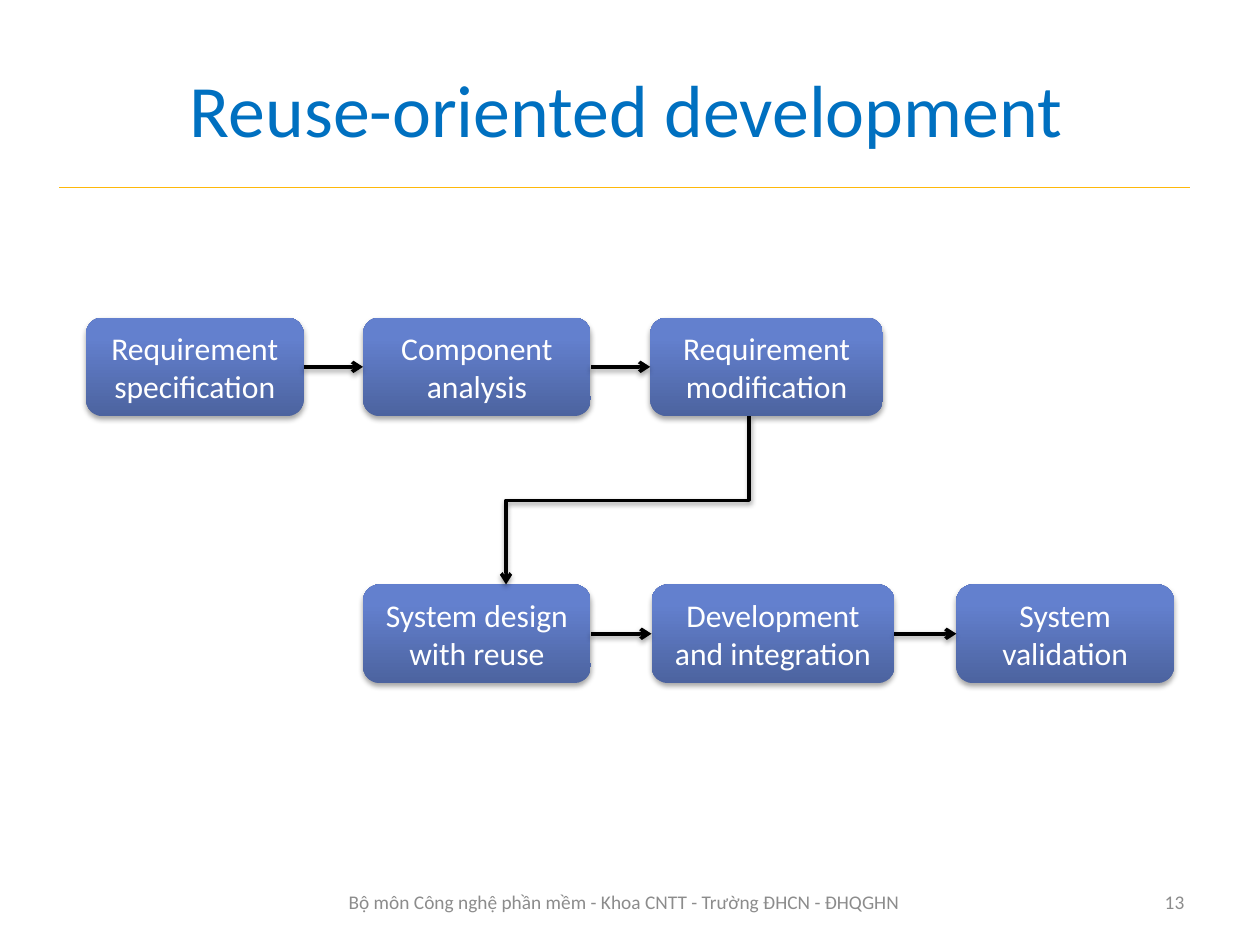
import copy
from dataclasses import dataclass

import lxml.etree
import pptx
import pptx.dml.color
import pptx.enum.shapes
import pptx.enum.text
import pptx.oxml.ns
import pptx.util

Inches = pptx.util.Inches
Align = pptx.enum.text.PP_ALIGN
Link = pptx.enum.shapes.MSO_CONNECTOR
qn = pptx.oxml.ns.qn


def color(code):
    return pptx.dml.color.RGBColor.from_string(code)


def assign(target, values):
    for name, value in values.items():
        setattr(target, name, value)


def add(parent, tag, **values):
    return lxml.etree.SubElement(parent, qn(tag), values)


@dataclass(frozen=True)
class Theme:
    font: str = "Calibri"
    title: str = "0070C0"
    rule: str = "FEB80A"
    label: str = "FFFFFF"
    arrow: str = "000000"
    foot: str = "8C8C8C"
    shade: tuple = ((0, "4C639F"), (0.8, "6380CE"), (1, "6180D1"))
    head_size: float = 42
    box_size: float = 18
    foot_size: float = 11
    thin: float = 0.75
    thick: float = 2


class Board:
    def __init__(self, slide, theme):
        self.shapes = slide.shapes
        self.theme = theme

    def label(self, shape, text, size, tint, align):
        frame = shape.text_frame
        assign(frame, {
            "word_wrap": True,
            "vertical_anchor": pptx.enum.text.MSO_ANCHOR.MIDDLE,
            "margin_left": Inches(0.1),
            "margin_right": Inches(0.1),
            "margin_top": Inches(0.05),
            "margin_bottom": Inches(0.05),
        })
        line = frame.paragraphs[0]
        line.alignment = align
        run = line.add_run()
        run.text = text
        assign(run.font, {"name": self.theme.font, "size": pptx.util.Pt(size)})
        run.font.color.rgb = color(tint)

    def text(self, place, text, size, tint, align=Align.CENTER):
        shape = self.shapes.add_textbox(*map(Inches, place))
        self.label(shape, text, size, tint, align)

    def shadow(self, effect, alpha, drop):
        outer = add(effect, "a:outerShdw", blurRad=str(pptx.util.Pt(3.1)),
                    dist=str(pptx.util.Pt(drop)), dir="5400000", rotWithShape="0")
        shade = add(outer, "a:srgbClr", val="000000")
        add(shade, "a:alpha", val=str(alpha * 1000))

    def box(self, place, text):
        kind = pptx.enum.shapes.MSO_SHAPE.ROUNDED_RECTANGLE
        shape = self.shapes.add_shape(kind, *map(Inches, place))
        props = shape._element.spPr
        shape.fill.gradient()
        shape.fill.gradient_angle = 90
        stops = props.find(".//" + qn("a:gsLst"))
        stops.append(copy.deepcopy(stops[0]))
        for stop, (point, tint) in zip(shape.fill.gradient_stops, self.theme.shade):
            stop.position = point
            stop.color.rgb = color(tint)
        shape.line.fill.background()
        shape.shadow.inherit = False
        self.shadow(props.find(qn("a:effectLst")), 35, 1.8)
        self.label(shape, text, self.theme.box_size, self.theme.label, Align.CENTER)
        return shape

    def line(self, ends, tint, width, kind=Link.STRAIGHT):
        link = self.shapes.add_connector(kind, *map(Inches, ends))
        link.line.color.rgb = color(tint)
        link.line.width = pptx.util.Pt(width)
        add(link._element.spPr, "a:effectLst")
        return link

    def arrow(self, ends=(0, 0, 0, 0), kind=Link.STRAIGHT):
        link = self.line(ends, self.theme.arrow, self.theme.thick, kind)
        props = link._element.spPr
        add(props.find(qn("a:ln")), "a:tailEnd", type="arrow")
        self.shadow(props.find(qn("a:effectLst")), 38, 1.6)
        return link

    def join(self, left, right):
        link = self.arrow()
        link.begin_connect(left, 3)
        link.end_connect(right, 1)

    def elbow(self, x1, y1, x2, y2):
        mid_x, mid_y = (x1 + x2) / 2, (y1 + y2) / 2
        half_x, half_y = (y2 - y1) / 2, (x1 - x2) / 2
        ends = (mid_x - half_x, mid_y - half_y, mid_x + half_x, mid_y + half_y)
        link = self.arrow(ends, Link.ELBOW)
        link._element.spPr.find(qn("a:xfrm")).set("rot", "5400000")

    def flow(self, top, steps):
        boxes = [self.box((left, top, width, 0.78), text)
                 for left, width, text in steps]
        for left, right in zip(boxes, boxes[1:]):
            self.join(left, right)


def main():
    deck = pptx.Presentation()
    assign(deck, {"slide_width": Inches(9.96), "slide_height": Inches(7.47)})
    theme = Theme()
    board = Board(deck.slides.add_slide(deck.slide_layouts[6]), theme)

    board.line((0.47, 1.48, 9.41, 1.48), theme.rule, theme.thin)
    board.text((0.47, 0.23, 8.96, 1.25), "Reuse-oriented development",
               theme.head_size, theme.title)
    board.flow(2.51, (
        (0.68, 1.72, "Requirement specification"),
        (2.87, 1.8, "Component analysis"),
        (5.14, 1.84, "Requirement modification"),
    ))
    board.flow(4.62, (
        (2.87, 1.8, "System design with reuse"),
        (5.15, 1.92, "Development and integration"),
        (7.56, 1.72, "System validation"),
    ))
    board.elbow(5.92, 3.29, 4, 4.62)
    board.text((7.14, 6.93, 2.32, 0.4), "13",
               theme.foot_size, theme.foot, Align.RIGHT)
    board.text((2.56, 6.93, 4.75, 0.4),
               "Bộ môn Công nghệ phần mềm - Khoa CNTT - Trường ĐHCN - ĐHQGHN",
               theme.foot_size, theme.foot)
    deck.save("out.pptx")


if __name__ == "__main__":
    main()
